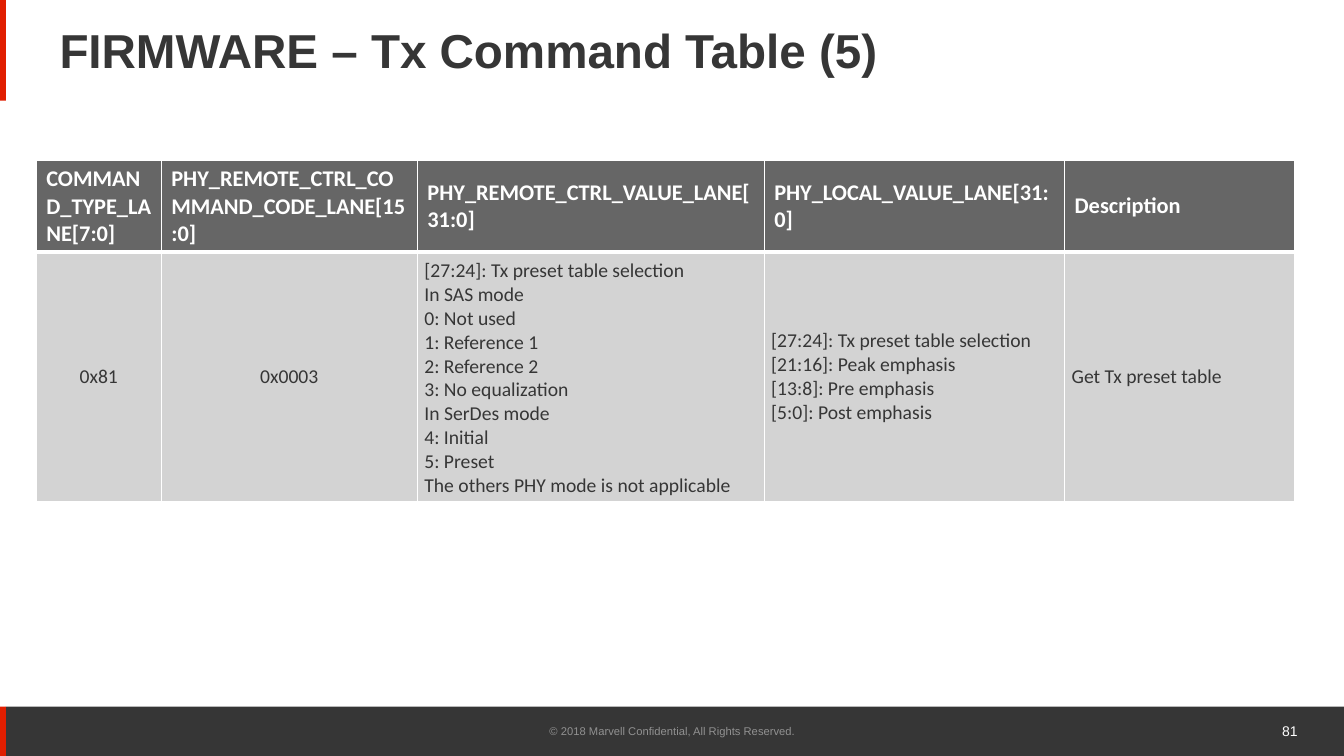
from dataclasses import dataclass

from lxml.etree import SubElement
from pptx import Presentation
from pptx.dml.color import RGBColor
from pptx.enum.shapes import MSO_SHAPE
from pptx.enum.text import MSO_ANCHOR, MSO_AUTO_SIZE, PP_ALIGN
from pptx.oxml.ns import qn
from pptx.util import Inches, Pt


@dataclass(frozen=True)
class Theme:
    dark: str = "363636"
    accent: str = "E11E00"
    muted: str = "919191"
    white: str = "FFFFFF"
    header_fill: str = "666666"
    body_fill: str = "D3D3D3"
    heading_font: str = "Arial"
    table_font: str = "Calibri"
    title_size: int = 34
    header_size: int = 16
    body_size: int = 14
    number_size: int = 10
    legal_size: int = 8


THEME = Theme()
HEADERS = [
    "COMMAND_TYPE_LANE[7:0]",
    "PHY_REMOTE_CTRL_COMMAND_CODE_LANE[15:0]",
    "PHY_REMOTE_CTRL_VALUE_LANE[31:0]",
    "PHY_LOCAL_VALUE_LANE[31:0]",
    "Description",
]
COMMAND = [
    ["0x81"],
    ["0x0003"],
    [
        "[27:24]: Tx preset table selection",
        "In SAS mode",
        "0: Not used",
        "1: Reference 1",
        "2: Reference 2",
        "3: No equalization",
        "In SerDes mode",
        "4: Initial",
        "5: Preset",
        "The others PHY mode is not applicable",
    ],
    [
        "[27:24]: Tx preset table selection",
        "[21:16]: Peak emphasis",
        "[13:8]: Pre emphasis",
        "[5:0]: Post emphasis",
    ],
    ["Get Tx preset table"],
]
COLUMN_WIDTHS = [1.24, 2.54, 3.44, 2.98, 2.28]
ROW_HEIGHTS = [0.91, 2.47]
CENTRED_COLUMNS = 2


def write_lines(frame, lines, font, size, color, bold=False, align=PP_ALIGN.LEFT):
    para = frame.paragraphs[0]
    para.alignment = align
    for index, line in enumerate(lines):
        if index:
            para.add_line_break()
        span = para.add_run()
        span.text = line
        span.font.name = font
        span.font.size = Pt(size)
        span.font.bold = bold
        span.font.color.rgb = RGBColor.from_string(color)
    return para


def add_block(page, left, top, width, height, color):
    block = page.shapes.add_shape(
        MSO_SHAPE.RECTANGLE, Inches(left), Inches(top), Inches(width), Inches(height))
    block.shadow.inherit = False
    block.fill.solid()
    block.fill.fore_color.rgb = RGBColor.from_string(color)
    block.line.fill.background()


def add_label(page, left, top, width, height, text, size, color, align):
    box = page.shapes.add_textbox(Inches(left), Inches(top), Inches(width), Inches(height))
    box.text_frame.word_wrap = True
    box.text_frame.vertical_anchor = MSO_ANCHOR.MIDDLE
    write_lines(box.text_frame, [text], THEME.heading_font, size, color, align=align)


def add_heading(page, left, top, width, height):
    add_block(page, left, top, 0.06, 1, THEME.accent)
    title = page.shapes.title
    title.left, title.top = Inches(left + 0.49), Inches(top + 0.17)
    title.width, title.height = Inches(width), Inches(height)
    frame = title.text_frame
    frame.word_wrap = True
    frame.auto_size = MSO_AUTO_SIZE.NONE
    frame.vertical_anchor = MSO_ANCHOR.MIDDLE
    para = write_lines(frame, ["FIRMWARE – Tx Command Table (5)"], THEME.heading_font,
                       THEME.title_size, THEME.dark, bold=True)
    para.line_spacing = 0.9


def add_footer(page, left, top, width, height):
    add_block(page, left + 0.06, top, width - 0.06, height, THEME.dark)
    add_block(page, left, top, 0.06, height, THEME.accent)
    add_label(page, left + 4.42, top + 0.04, 4.5, 0.4,
              "© 2018 Marvell Confidential, All Rights Reserved.",
              THEME.legal_size, THEME.muted, PP_ALIGN.CENTER)
    add_label(page, left + 10.21, top + 0.04, 2.76, 0.4, "81",
              THEME.number_size, THEME.white, PP_ALIGN.RIGHT)


def set_borders(cell, top, bottom):
    properties = cell._tc.get_or_add_tcPr()
    for side, weight in (("L", 1), ("R", 1), ("T", top), ("B", bottom)):
        line = SubElement(properties, qn(f"a:ln{side}"), w=str(Pt(weight)))
        fill = SubElement(line, qn("a:solidFill"))
        SubElement(fill, qn("a:srgbClr"), val=THEME.white)


def fill_cell(cell, color):
    cell.fill.solid()
    cell.fill.fore_color.rgb = RGBColor.from_string(color)
    cell.vertical_anchor = MSO_ANCHOR.MIDDLE


def add_command_table(page, left, top):
    table = page.shapes.add_table(
        2, len(HEADERS), Inches(left), Inches(top),
        Inches(sum(COLUMN_WIDTHS)), Inches(sum(ROW_HEIGHTS))).table
    table.horz_banding = False
    for column, width in zip(table.columns, COLUMN_WIDTHS):
        column.width = Inches(width)
    for row, height in zip(table.rows, ROW_HEIGHTS):
        row.height = Inches(height)
    for index, (header, lines) in enumerate(zip(HEADERS, COMMAND)):
        head, body = table.cell(0, index), table.cell(1, index)
        set_borders(head, 1, 3)
        fill_cell(head, THEME.header_fill)
        write_lines(head.text_frame, [header], THEME.table_font,
                    THEME.header_size, THEME.white, bold=True)
        set_borders(body, 3, 1)
        fill_cell(body, THEME.body_fill)
        body.margin_left = body.margin_right = Inches(0.07)
        body.margin_top = body.margin_bottom = Inches(0.07)
        align = PP_ALIGN.CENTER if index < CENTRED_COLUMNS else PP_ALIGN.LEFT
        write_lines(body.text_frame, lines, THEME.table_font,
                    THEME.body_size, THEME.dark, align=align)


def main():
    deck = Presentation()
    deck.slide_width, deck.slide_height = Inches(13.33), Inches(7.5)
    page = deck.slides.add_slide(deck.slide_layouts[5])
    add_footer(page, 0, 7.01, 13.33, 0.49)
    add_heading(page, 0, 0, 11.5, 0.72)
    add_command_table(page, 0.36, 1.59)
    deck.save("out.pptx")


if __name__ == "__main__":
    main()
